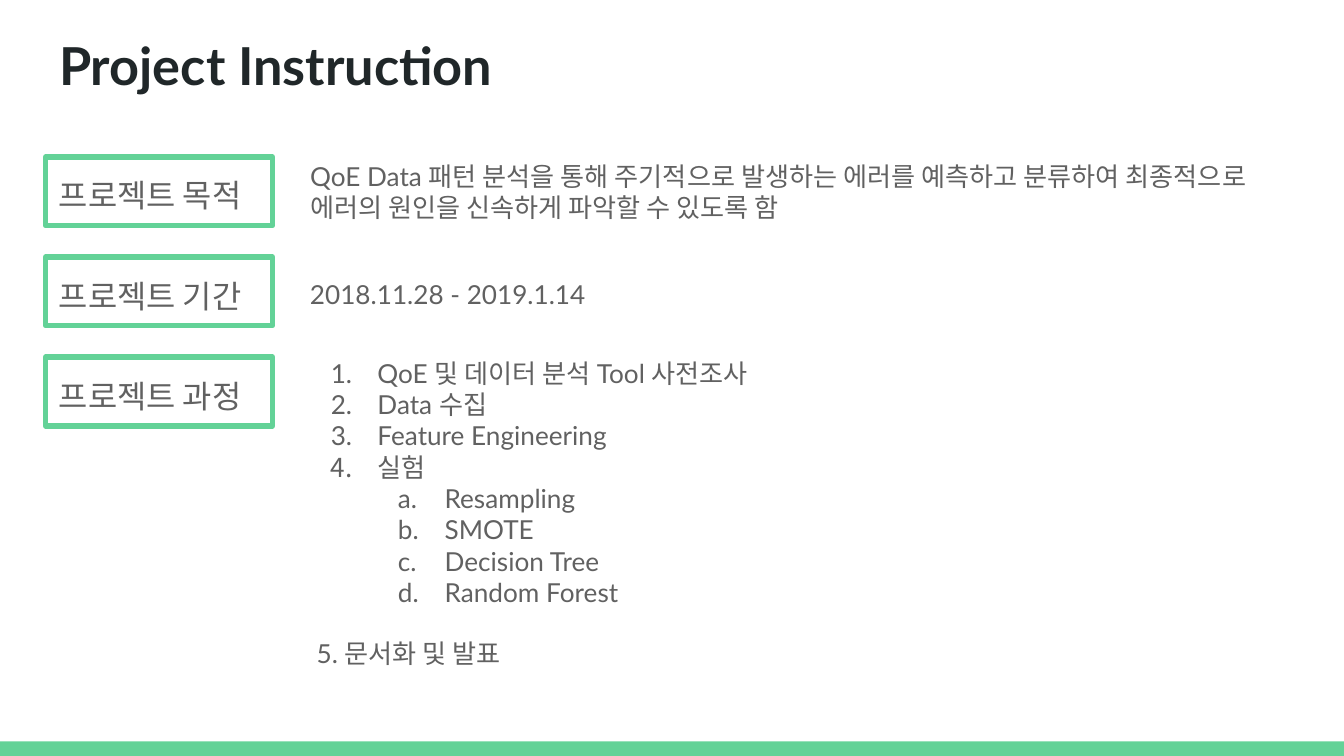
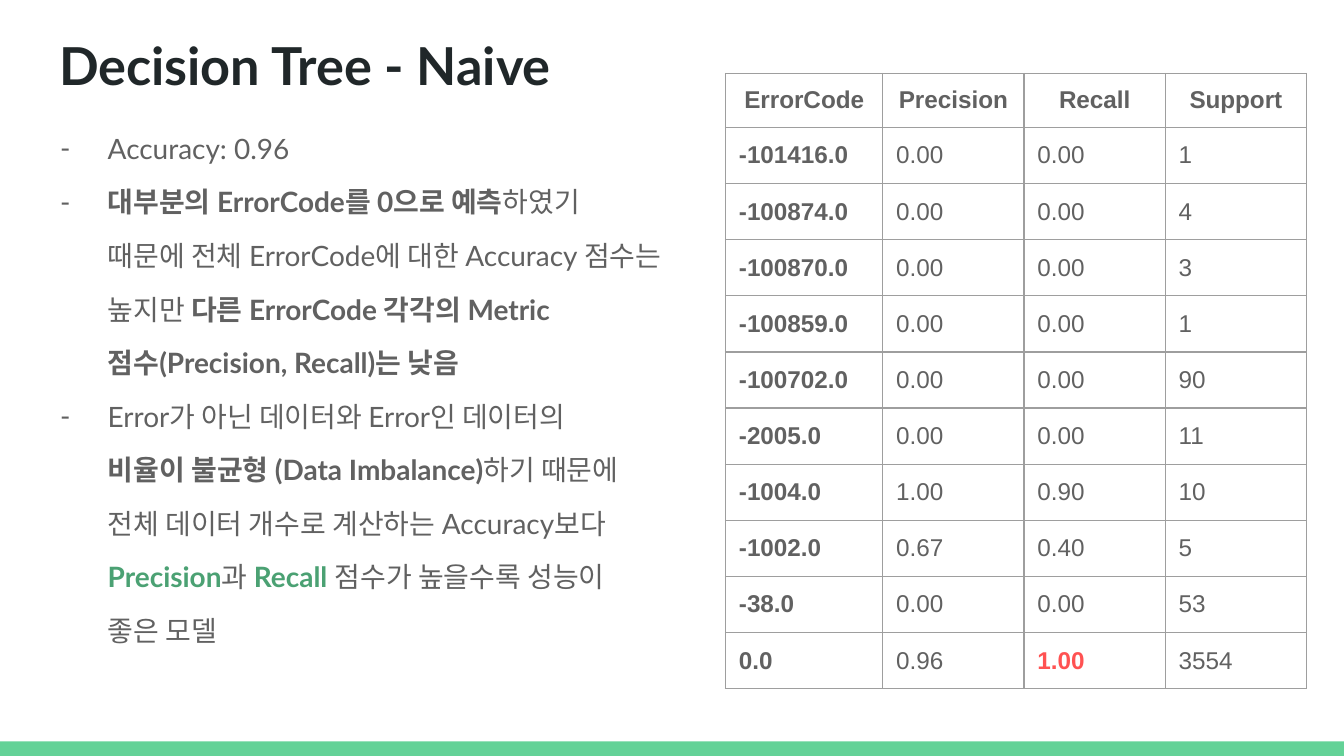
from dataclasses import dataclass

from lxml import etree
from pptx import Presentation
from pptx import util as u
from pptx.dml import color
from pptx.enum import shapes, text
from pptx.oxml import ns


@dataclass(frozen=True)
class Theme:
    """Colours, fonts and type sizes of the deck."""

    green: str = "63D297"
    dark_green: str = "4BA173"
    red: str = "FF5252"
    ink: str = "202729"
    grey: str = "616161"
    rule: str = "9E9E9E"
    font: str = "Lato"
    table_font: str = "Arial"
    title: float = 28
    label: float = 17
    body: float = 14
    findings: float = 15
    table: float = 13
    inset: float = 7.2


THEME = Theme()
PLAIN = {"color": THEME.grey}
BOLD = {"color": THEME.grey, "bold": True}
ACCENT = {"color": THEME.dark_green, "bold": True}
ALERT = {"color": THEME.red, "bold": True}
TITLE = {"color": THEME.ink, "bold": True}

LABELS = ["프로젝트 목적", "프로젝트 기간", "프로젝트 과정"]
PURPOSE = ("QoE Data 패턴 분석을 통해 주기적으로 발생하는 에러를 예측하고 분류하여 "
           "최종적으로 에러의 원인을 신속하게 파악할 수 있도록 함")
STEPS = ["QoE 및 데이터 분석 Tool 사전조사", "Data 수집", "Feature Engineering", "실험"]
EXPERIMENTS = ["Resampling", "SMOTE", "Decision Tree", "Random Forest"]

FINDINGS = [
    ("-", [("Accuracy: 0.96", PLAIN)]),
    ("-", [("대부분의 ErrorCode를 0으로 예측", BOLD), ("하였기", PLAIN)]),
    (None, [("때문에 전체 ErrorCode에 대한 Accuracy 점수는", PLAIN)]),
    (None, [("높지만 ", PLAIN), ("다른 ErrorCode 각각의 Metric", BOLD)]),
    (None, [("점수(Precision, Recall)는 낮음", BOLD)]),
    ("-", [("Error가 아닌 데이터와 Error인 데이터의", PLAIN)]),
    (None, [("비율이 불균형 (Data Imbalance)", BOLD), ("하기 때문에", PLAIN)]),
    (None, [("전체 데이터 개수로 계산하는 Accuracy보다", PLAIN)]),
    (None, [("Precision", ACCENT), ("과", PLAIN), (" Recall", ACCENT),
            (" 점수가 높을수록 성능이", PLAIN)]),
    (None, [("좋은 모델", PLAIN)]),
]

HEADER = ["ErrorCode", "Precision", "Recall", "Support"]
SCORES = [
    ["-101416.0", "0.00", "0.00", "1"],
    ["-100874.0", "0.00", "0.00", "4"],
    ["-100870.0", "0.00", "0.00", "3"],
    ["-100859.0", "0.00", "0.00", "1"],
    ["-100702.0", "0.00", "0.00", "90"],
    ["-2005.0", "0.00", "0.00", "11"],
    ["-1004.0", "1.00", "0.90", "10"],
    ["-1002.0", "0.67", "0.40", "5"],
    ["-38.0", "0.00", "0.00", "53"],
    ["0.0", "0.96", "1.00", "3554"],
]


def rgb(value):
    """Turn a hex string into a colour."""
    return color.RGBColor.from_string(value)


def apply(target, values):
    """Set each named attribute on the target."""
    for name, value in values.items():
        setattr(target, name, value)


def place(shape, left, top, width, height):
    """Move and size a shape, in points."""
    box = {"left": left, "top": top, "width": width, "height": height}
    apply(shape, {name: u.Pt(value) for name, value in box.items()})


def prepare_frame(shape):
    """Give a shape's text frame the shared insets, wrapping and anchor."""
    frame = shape.text_frame
    sides = ("margin_left", "margin_top", "margin_right", "margin_bottom")
    apply(frame, dict.fromkeys(sides, u.Pt(THEME.inset)))
    apply(frame, {"word_wrap": True, "auto_size": text.MSO_AUTO_SIZE.NONE,
                  "vertical_anchor": text.MSO_ANCHOR.TOP})
    return frame


def write(paragraph, runs, size, font=THEME.font, **layout):
    """Fill a paragraph with styled runs and set its layout."""
    defaults = {"alignment": text.PP_ALIGN.LEFT, "space_before": u.Pt(0)}
    apply(paragraph, defaults | layout)
    for words, style in runs:
        run = paragraph.add_run()
        run.text = words
        apply(run.font, {"name": font, "size": u.Pt(size),
                         "bold": style.get("bold", False)})
        run.font.color.rgb = rgb(style["color"])


def add_bullet(paragraph, mark, left, hanging=0):
    """Indent a paragraph; mark is a character, a numbering scheme or None."""
    properties = paragraph._p.get_or_add_pPr()
    properties.set("marL", str(u.Pt(left)))
    properties.set("indent", str(-u.Pt(hanging)))
    if mark is None:
        etree.SubElement(properties, ns.qn("a:buNone"))
        return
    tint = etree.SubElement(properties, ns.qn("a:buClr"))
    etree.SubElement(tint, ns.qn("a:srgbClr"), val=THEME.grey)
    etree.SubElement(properties, ns.qn("a:buFont"), typeface=THEME.font)
    if len(mark) == 1:
        etree.SubElement(properties, ns.qn("a:buChar"), char=mark)
    else:
        etree.SubElement(properties, ns.qn("a:buAutoNum"), type=mark)


def next_paragraph(frame, index):
    """Return the first paragraph, or a new one after it."""
    return frame.add_paragraph() if index else frame.paragraphs[0]


def add_slide(presentation, title):
    """Add a slide with its title and green foot band."""
    slide = presentation.slides.add_slide(presentation.slide_layouts[1])
    place(slide.shapes.title, 24.5, 10.8, 671, 45.4)
    frame = prepare_frame(slide.shapes.title)
    write(frame.paragraphs[0], [(title, TITLE)], THEME.title)
    band = slide.shapes.add_shape(shapes.MSO_SHAPE.RECTANGLE, 0, 0, 0, 0)
    place(band, 0, 397.2, 720, 7.8)
    band.shadow.inherit = False
    band.fill.solid()
    band.fill.fore_color.rgb = rgb(THEME.green)
    band.line.fill.background()
    return slide


def add_label(slide, words, top):
    """Add a green outlined label."""
    label = slide.shapes.add_shape(shapes.MSO_SHAPE.RECTANGLE, 0, 0, 0, 0)
    place(label, 24.5, top, 121.5, 36.7)
    label.shadow.inherit = False
    label.fill.background()
    label.line.color.rgb = rgb(THEME.green)
    label.line.width = u.Pt(3)
    write(prepare_frame(label).paragraphs[0], [(words, PLAIN)], THEME.label,
          line_spacing=1.15, space_after=u.Pt(16))


def add_text(slide, words, box, **layout):
    """Add a text box with one paragraph."""
    shape = slide.shapes.add_textbox(0, 0, 0, 0)
    place(shape, *box)
    write(prepare_frame(shape).paragraphs[0], [(words, PLAIN)], THEME.body, **layout)


def add_steps(slide):
    """Fill the body placeholder with the numbered project steps."""
    body = slide.placeholders[1]
    place(body, 159, 184, 536.5, 174.5)
    frame = prepare_frame(body)
    items = [(words, 0, "arabicPeriod") for words in STEPS]
    items += [(words, 1, "alphaLcPeriod") for words in EXPERIMENTS]
    for index, (words, level, scheme) in enumerate(items):
        paragraph = next_paragraph(frame, index)
        paragraph.level = level
        add_bullet(paragraph, scheme, 36 * (level + 1), 25)
        write(paragraph, [(words, PLAIN)], THEME.body)
    closing = frame.add_paragraph()
    add_bullet(closing, None, 3.5)
    write(closing, [("5. 문서화 및 발표", PLAIN)], THEME.body, space_before=u.Pt(16))


def add_findings(slide):
    """Fill the body placeholder with the dashed findings."""
    body = slide.placeholders[1]
    place(body, 14.5, 60.5, 366.5, 321)
    frame = prepare_frame(body)
    for index, (mark, runs) in enumerate(FINDINGS):
        paragraph = next_paragraph(frame, index)
        add_bullet(paragraph, mark, 36, 25.5 if mark else 0)
        write(paragraph, runs, THEME.findings, line_spacing=1.15,
              space_before=u.Pt(8 if index else 0))


def add_borders(cell):
    """Draw a thin rule on all four sides of a cell."""
    properties = cell._tc.get_or_add_tcPr()
    for index, side in enumerate(("a:lnL", "a:lnR", "a:lnT", "a:lnB")):
        line = etree.Element(ns.qn(side), w=str(u.Pt(0.75)))
        fill = etree.SubElement(line, ns.qn("a:solidFill"))
        etree.SubElement(fill, ns.qn("a:srgbClr"), val=THEME.rule)
        properties.insert(index, line)


def cell_style(row, column, words):
    """Choose the style of a score cell."""
    if row == len(SCORES) and HEADER[column] == "Recall":
        return ALERT
    return BOLD if row == 0 or column == 0 else PLAIN


def add_scores(slide):
    """Add the table of scores for each error code."""
    rows = [HEADER, *SCORES]
    frame = slide.shapes.add_table(len(rows), len(HEADER), u.Pt(388.7), u.Pt(39.3),
                                   u.Pt(311), u.Pt(329))
    table = frame.table
    apply(table, {"first_row": False, "horz_banding": False})
    for index, column in enumerate(table.columns):
        column.width = u.Pt(75.7 if index else 84.2)
    for index, row in enumerate(table.rows):
        row.height = u.Pt(30.1 if index else 27)
    for r, values in enumerate(rows):
        for c, words in enumerate(values):
            cell = table.cell(r, c)
            sides = ("margin_left", "margin_top", "margin_right", "margin_bottom")
            apply(cell, dict.fromkeys(sides, u.Pt(THEME.inset)))
            cell.vertical_anchor = text.MSO_ANCHOR.MIDDLE
            cell.fill.background()
            add_borders(cell)
            alignment = text.PP_ALIGN.LEFT if r else text.PP_ALIGN.CENTER
            write(cell.text_frame.paragraphs[0], [(words, cell_style(r, c, words))],
                  THEME.table, THEME.table_font, alignment=alignment)


def main():
    """Build both slides and save the deck."""
    presentation = Presentation()
    apply(presentation, {"slide_width": u.Pt(720), "slide_height": u.Pt(405)})

    instruction = add_slide(presentation, "Project Instruction")
    for index, words in enumerate(LABELS):
        add_label(instruction, words, 84.2 + 53.6 * index)
    add_text(instruction, PURPOSE, (159, 78.5, 536.5, 48), space_after=u.Pt(16))
    add_text(instruction, "2018.11.28 - 2019.1.14", (159, 139.7, 308, 45.4),
             line_spacing=1.15)
    add_steps(instruction)

    naive = add_slide(presentation, "Decision Tree - Naive")
    add_findings(naive)
    add_scores(naive)

    presentation.save("out.pptx")


if __name__ == "__main__":
    main()
